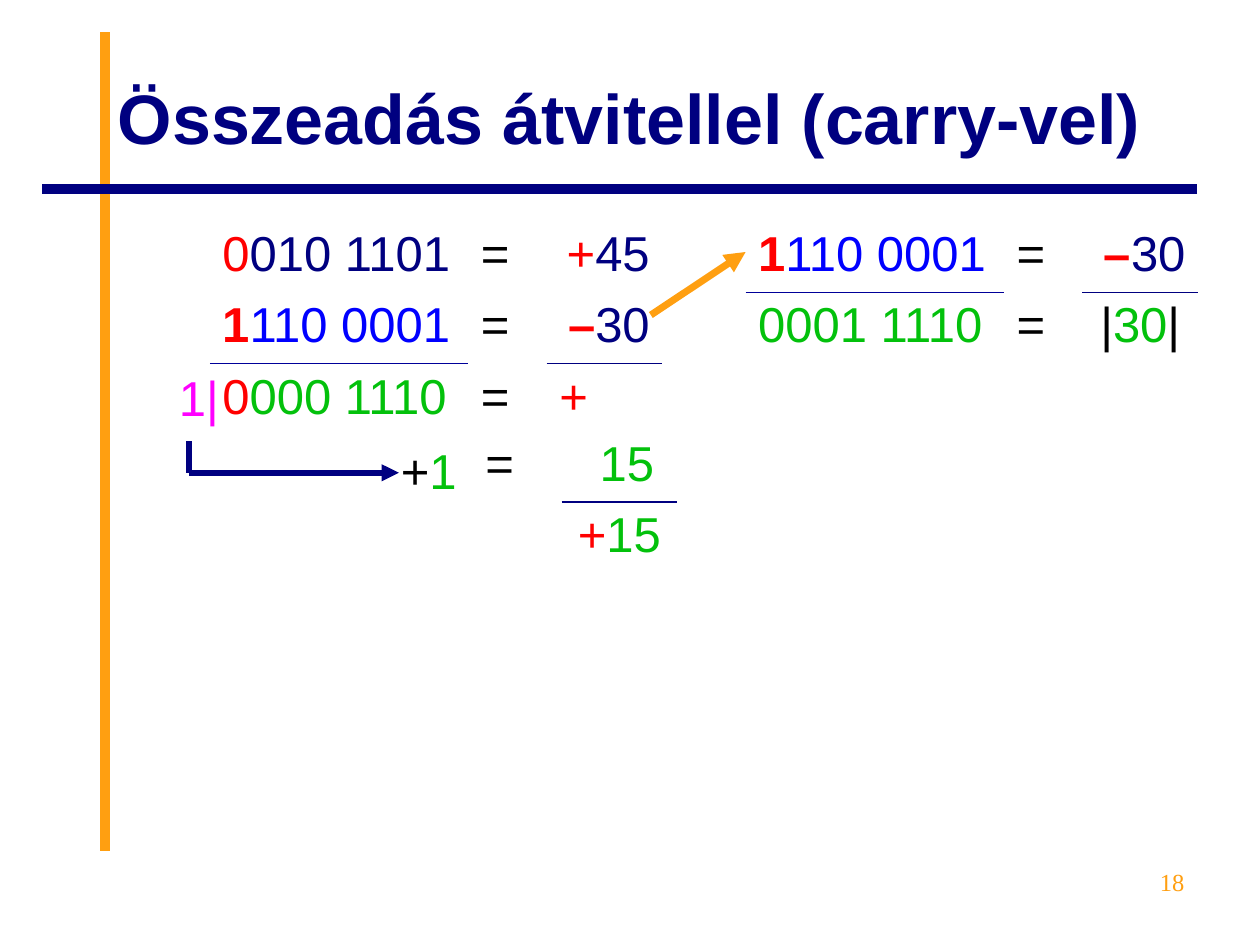
from dataclasses import dataclass
from typing import Optional

import lxml.etree
import pptx
import pptx.dml.color
import pptx.enum.shapes
import pptx.enum.text
import pptx.oxml.ns
import pptx.util

Cm = pptx.util.Cm
Pt = pptx.util.Pt
Align = pptx.enum.text.PP_ALIGN
Anchor = pptx.enum.text.MSO_ANCHOR
AutoSize = pptx.enum.text.MSO_AUTO_SIZE
qn = pptx.oxml.ns.qn


@dataclass(frozen=True)
class Theme:
    navy: str = "000080"
    rule_blue: str = "000099"
    blue: str = "0000FF"
    orange: str = "FF9F11"
    red: str = "FF0000"
    green: str = "03C10C"
    magenta: str = "FF00FF"
    black: str = "000000"
    sans: str = "Arial"
    serif: str = "Times New Roman"
    title_size: float = 40
    body_size: float = 28
    number_size: float = 14
    rule_width: float = 0.75
    no_table_style: str = "{2D5ABB26-0587-4C30-8999-92F81FD0307C}"


THEME = Theme()


@dataclass(frozen=True)
class Run:
    text: str
    color: str
    bold: bool = False


@dataclass(frozen=True)
class Cell:
    runs: tuple[Run, ...] = ()
    align: Align = Align.LEFT
    rule_below: Optional[str] = None


@dataclass(frozen=True)
class Sum:
    left: float
    top: float
    columns: tuple[float, ...]
    heights: tuple[float, ...]
    rows: tuple[tuple[Cell, ...], ...]


@dataclass(frozen=True)
class Stroke:
    start: tuple[float, float]
    end: tuple[float, float]
    color: str
    width: float
    arrow: bool = False


@dataclass(frozen=True)
class Label:
    box: tuple[float, float, float, float]
    runs: tuple[Run, ...]
    align: Align = Align.LEFT
    font: str = THEME.sans
    size: float = THEME.body_size
    spacing: float = 0.9
    fit: AutoSize = AutoSize.SHAPE_TO_FIT_TEXT


def rgb(color: str) -> pptx.dml.color.RGBColor:
    return pptx.dml.color.RGBColor.from_string(color)


def write_runs(paragraph, runs: tuple[Run, ...], align: Align, font: str, size: float) -> None:
    paragraph.alignment = align
    paragraph.font.name = font
    paragraph.font.size = Pt(size)
    for part in runs:
        run = paragraph.add_run()
        run.text = part.text
        run.font.color.rgb = rgb(part.color)
        run.font.bold = part.bold


def draw_border(cell, side: str, color: str) -> None:
    border = lxml.etree.SubElement(
        cell._tc.get_or_add_tcPr(), qn(f"a:{side}"), w=str(Pt(THEME.rule_width)))
    fill = lxml.etree.SubElement(border, qn("a:solidFill"))
    lxml.etree.SubElement(fill, qn("a:srgbClr"), val=color)


def draw_sum(shapes, item: Sum) -> None:
    frame = shapes.add_table(
        len(item.rows), len(item.columns), Cm(item.left), Cm(item.top),
        Cm(sum(item.columns)), Cm(sum(item.heights)))
    table = frame.table
    table.first_row = table.horz_banding = False
    table._tbl.tblPr.find(qn("a:tableStyleId")).text = THEME.no_table_style
    for column, width in zip(table.columns, item.columns):
        column.width = Cm(width)
    for r, (height, row) in enumerate(zip(item.heights, item.rows)):
        table.rows[r].height = Cm(height)
        for c, content in enumerate(row):
            cell = table.cell(r, c)
            write_runs(cell.text_frame.paragraphs[0], content.runs, content.align,
                       THEME.sans, THEME.body_size)
            if content.rule_below:
                draw_border(cell, "lnB", content.rule_below)
                draw_border(table.cell(r + 1, c), "lnT", content.rule_below)
            cell.fill.background()


def draw_stroke(shapes, stroke: Stroke) -> None:
    line = shapes.add_connector(
        pptx.enum.shapes.MSO_CONNECTOR.STRAIGHT, *map(Cm, stroke.start + stroke.end))
    line.line.color.rgb = rgb(stroke.color)
    line.line.width = Pt(stroke.width)
    if stroke.arrow:
        lxml.etree.SubElement(line.line._get_or_add_ln(), qn("a:tailEnd"), type="triangle")
    lxml.etree.SubElement(line._element.spPr, qn("a:effectLst"))


def draw_label(shapes, label: Label) -> None:
    frame = shapes.add_textbox(*map(Cm, label.box)).text_frame
    frame.word_wrap = True
    frame.auto_size = label.fit
    paragraph = frame.paragraphs[0]
    paragraph.line_spacing = label.spacing
    write_runs(paragraph, label.runs, label.align, label.font, label.size)


def draw_title(title, text: str) -> None:
    title.left, title.top, title.width, title.height = map(Cm, (2.12, 0.76, 22.02, 3.18))
    frame = title.text_frame
    frame.auto_size = AutoSize.NONE
    frame.vertical_anchor = Anchor.MIDDLE
    write_runs(frame.paragraphs[0], (Run(text, THEME.navy, True),), Align.LEFT,
               THEME.sans, THEME.title_size)


BITS, SIGN, VALUE = 5.21, 1.58, 2.33
ROW, TOP, LOWER_TOP = 1.44, 4.45, 8.68
EQUALS = Cell((Run("=", THEME.black),))
MINUS_30_BITS = Cell((Run("1", THEME.red, True), Run("110 0001", THEME.blue)),
                     rule_below=THEME.rule_blue)
MINUS_30 = Cell((Run("–", THEME.red, True), Run("30", THEME.navy)), Align.RIGHT, THEME.navy)
MINUS_30_ROW = (MINUS_30_BITS, EQUALS, MINUS_30)

SUMS = (
    Sum(4.23, TOP, (BITS, SIGN, VALUE), (ROW, ROW, 2.64), (
        (Cell((Run("0", THEME.red), Run("010 1101", THEME.navy))), EQUALS,
         Cell((Run("+", THEME.red), Run("45", THEME.navy)), Align.RIGHT)),
        MINUS_30_ROW,
        (Cell((Run("0", THEME.red), Run("000 1110", THEME.green))), EQUALS,
         Cell((Run("+", THEME.red),))))),
    Sum(15.03, TOP, (BITS, SIGN, VALUE), (ROW, ROW), (
        MINUS_30_ROW,
        (Cell((Run("0001 1110", THEME.green),)), EQUALS,
         Cell((Run("|", THEME.black), Run("30", THEME.green), Run("|", THEME.black)),
              Align.CENTER)))),
    Sum(9.53, LOWER_TOP, (SIGN, VALUE), (ROW,), (
        (EQUALS, Cell((Run("15", THEME.green),), Align.RIGHT)),)),
    Sum(9.74, LOWER_TOP, (SIGN, VALUE), (ROW, ROW), (
        (Cell(), Cell(rule_below=THEME.navy)),
        (Cell(), Cell((Run("+", THEME.red), Run("15", THEME.green)), Align.CENTER)))),
)
FRAME_LINES = (
    Stroke((2.12, 17.15), (2.12, 0.64), THEME.orange, 5.5),
    Stroke((24.13, 3.81), (0.85, 3.81), THEME.navy, 5.5),
)
COMPLEMENT_ARROW = Stroke((13.12, 6.35), (15.03, 5.08), THEME.orange, 4, True)
CARRY_PATH = (
    Stroke((3.81, 8.89), (3.81, 9.53), THEME.navy, 3.25),
    Stroke((3.81, 9.53), (8.04, 9.53), THEME.navy, 3.25, True),
)
LABELS = (
    Label((3.18, 7.41, 1.48, 1.32), (Run("1|", THEME.magenta),), Align.RIGHT),
    Label((7.83, 8.89, 1.69, 1.32), (Run("+", THEME.black), Run("1", THEME.green))),
    Label((18.2, 17.36, 5.93, 1.32), (Run("18", THEME.orange),), Align.RIGHT,
          THEME.serif, THEME.number_size, 1.0, AutoSize.NONE),
)


def main() -> None:
    deck = pptx.Presentation()
    deck.slide_width, deck.slide_height = Cm(25.4), Cm(19.05)
    slide = deck.slides.add_slide(deck.slide_layouts[5])
    draw_title(slide.shapes.title, "Összeadás átvitellel (carry-vel)")
    for stroke in FRAME_LINES:
        draw_stroke(slide.shapes, stroke)
    for item in SUMS:
        draw_sum(slide.shapes, item)
    draw_stroke(slide.shapes, COMPLEMENT_ARROW)
    carry = slide.shapes.add_group_shape()
    for stroke in CARRY_PATH:
        draw_stroke(carry.shapes, stroke)
    for label in LABELS:
        draw_label(slide.shapes, label)
    deck.save("out.pptx")


if __name__ == "__main__":
    main()
